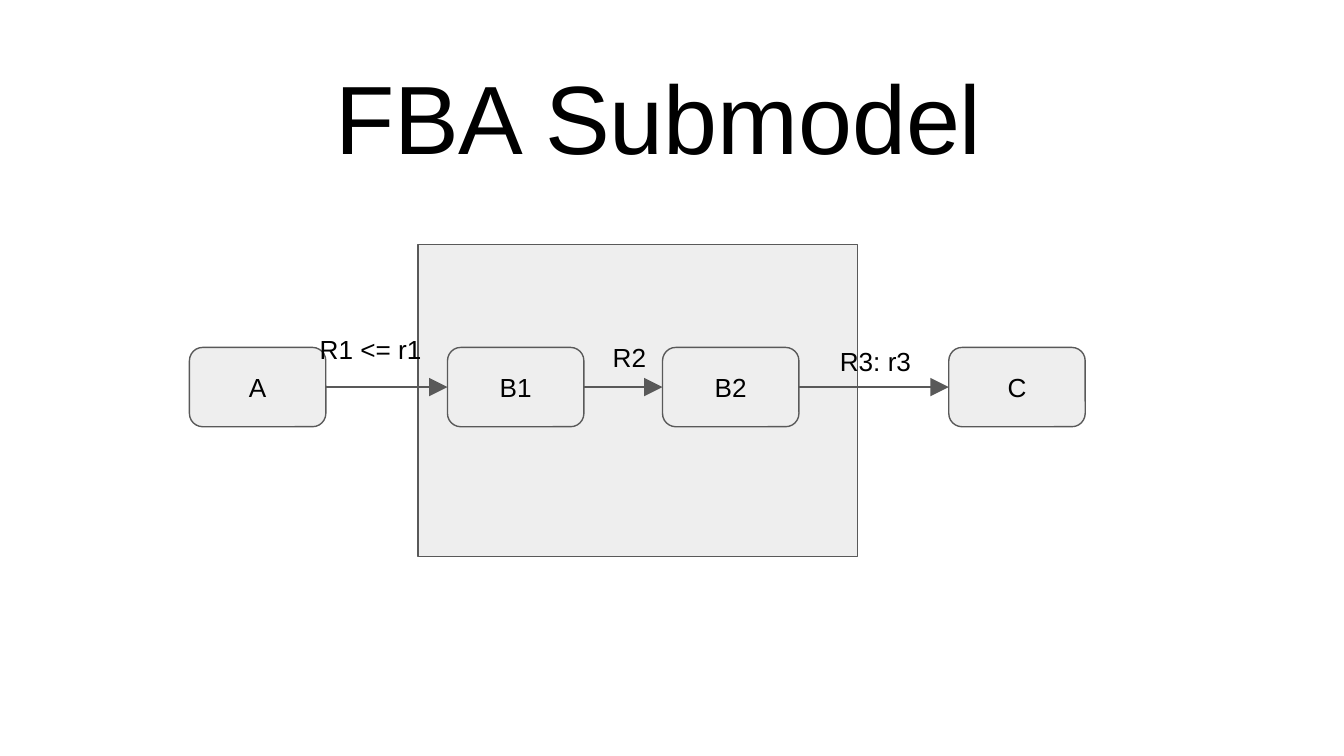
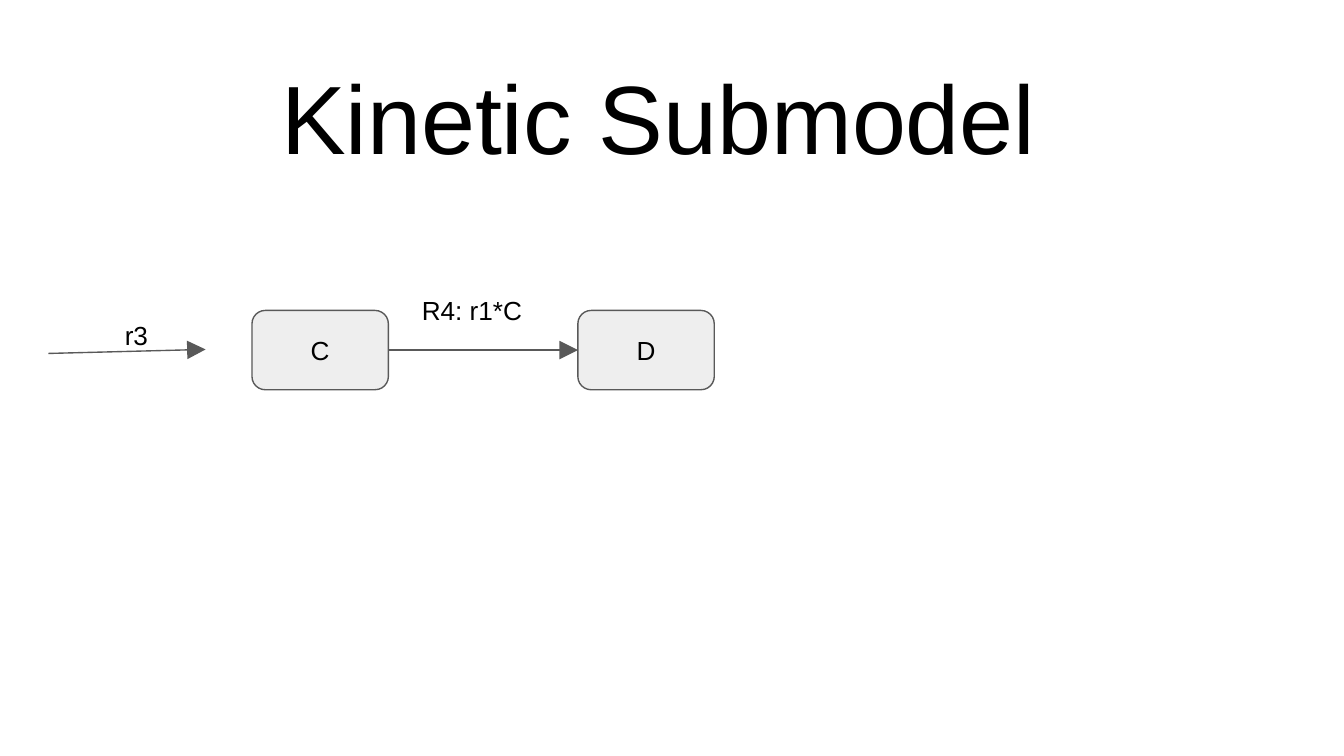
"""Build two slides that show an FBA submodel and a kinetic submodel."""
from lxml import etree
from pptx import Presentation
from pptx.dml.color import RGBColor
from pptx.enum.shapes import MSO_CONNECTOR, MSO_SHAPE
from pptx.enum.text import MSO_ANCHOR, MSO_AUTO_SIZE, PP_ALIGN
from pptx.oxml.ns import qn
from pptx.util import Inches, Pt

STRAIGHT = MSO_CONNECTOR.STRAIGHT
RECTANGLE, ROUNDED = MSO_SHAPE.RECTANGLE, MSO_SHAPE.ROUNDED_RECTANGLE
TOP, MIDDLE, BOTTOM = MSO_ANCHOR.TOP, MSO_ANCHOR.MIDDLE, MSO_ANCHOR.BOTTOM
LEFT, CENTER = PP_ALIGN.LEFT, PP_ALIGN.CENTER
NO_FIT = MSO_AUTO_SIZE.NONE

BLACK = RGBColor(0x00, 0x00, 0x00)
GREY = RGBColor(0x59, 0x59, 0x59)
PALE = RGBColor(0xEE, 0xEE, 0xEE)

WIDTH = Inches(10)
HEIGHT = WIDTH * 9 // 16
CELL = WIDTH / 100
TITLE_AREA = (3.4, 1.1, 93.2, 12.85)
NODE_SIZE = (10.15, 5.9)
TITLE_SIZE, BODY_SIZE = Pt(52), Pt(14)
LINE_WIDTH = Pt(0.75)
LEFT_SIDE, RIGHT_SIDE = 1, 3


def grid(*cells):
    """Turn counts of grid cells into lengths."""
    return [round(count * CELL) for count in cells]


def apply(target, values):
    """Set each named attribute of the target."""
    for name, value in values.items():
        setattr(target, name, value)


def write(shape, text, size, align, anchor):
    """Put one formatted paragraph into a shape."""
    frame = shape.text_frame
    margins = ("margin_left", "margin_top", "margin_right", "margin_bottom")
    apply(frame, dict.fromkeys(margins, Inches(0.1)))
    apply(frame, {"word_wrap": True, "auto_size": NO_FIT, "vertical_anchor": anchor})
    para = frame.paragraphs[0]
    para.alignment = align
    span = para.add_run()
    span.text = text
    apply(span.font, {"name": "Arial", "size": size})
    span.font.color.rgb = BLACK


def draw_line(line):
    """Give an outline or connector the shared stroke."""
    line.color.rgb = GREY
    line.width = LINE_WIDTH


def add_page(deck, title):
    """Add a slide with the shared title style."""
    page = deck.slides.add_slide(deck.slide_layouts.get_by_name("Title Only"))
    box = page.shapes.title
    apply(box, dict(zip(("left", "top", "width", "height"), grid(*TITLE_AREA))))
    write(box, title, TITLE_SIZE, CENTER, BOTTOM)
    return page


def add_panel(page, kind, area):
    """Add a pale shape with a grey outline."""
    box = page.shapes.add_shape(kind, *grid(*area))
    box.shadow.inherit = False
    box.fill.solid()
    box.fill.fore_color.rgb = PALE
    draw_line(box.line)
    return box


def add_nodes(page, row, columns):
    """Add a row of named nodes and return them by name."""
    nodes = {}
    for name, column in columns.items():
        box = add_panel(page, ROUNDED, (column, row, *NODE_SIZE))
        box.adjustments[0] = 0.167
        write(box, name, BODY_SIZE, CENTER, MIDDLE)
        nodes[name] = box
    return nodes


def add_arrow(page, start=(0, 0), end=(0, 0)):
    """Add an arrow between two grid points."""
    arrow = page.shapes.add_connector(STRAIGHT, *grid(*start, *end))
    draw_line(arrow.line)
    stroke = arrow.line._get_or_add_ln()
    etree.SubElement(stroke, qn("a:tailEnd"), type="triangle", w="lg", len="lg")
    etree.SubElement(arrow._element.spPr, qn("a:effectLst"))
    return arrow


def join(page, source, target):
    """Join two nodes with an arrow to the right."""
    arrow = add_arrow(page)
    arrow.begin_connect(source, RIGHT_SIDE)
    arrow.end_connect(target, LEFT_SIDE)


def add_label(page, text, area):
    """Add the name of a reaction."""
    write(page.shapes.add_textbox(*grid(*area)), text, BODY_SIZE, LEFT, TOP)


def build_fba(deck):
    """Build the chain of reactions through the submodel."""
    page = add_page(deck, "FBA Submodel ")
    add_panel(page, RECTANGLE, (31.1, 18.2, 32.7, 23.2))
    nodes = add_nodes(page, 25.85, {"A": 14.1, "B1": 33.3, "B2": 49.3, "C": 70.6})
    chain = list(nodes.values())
    for source, target in zip(chain, chain[1:]):
        join(page, source, target)
    add_label(page, "R3: r3", (61.5, 24.7, 9.1, 6.6))
    add_label(page, "R1 <= r1", (22.8, 23.8, 11.2, 5))
    add_label(page, "R2", (44.6, 24.4, 9.1, 5))


def build_kinetic(deck):
    """Build the single reaction and its inflow."""
    page = add_page(deck, "Kinetic Submodel ")
    nodes = add_nodes(page, 23.1, {"C": 18.75, "D": 43})
    join(page, nodes["C"], nodes["D"])
    add_label(page, "R4: r1*C", (30.4, 20.9, 11.6, 5))
    add_arrow(page, (3.6, 26.3), (15.3, 26))
    add_label(page, "r3", (8.3, 22.8, 9.1, 6.6))


def main():
    """Build and save the deck."""
    deck = Presentation()
    apply(deck, {"slide_width": WIDTH, "slide_height": HEIGHT})
    build_fba(deck)
    build_kinetic(deck)
    deck.save("out.pptx")


if __name__ == "__main__":
    main()
